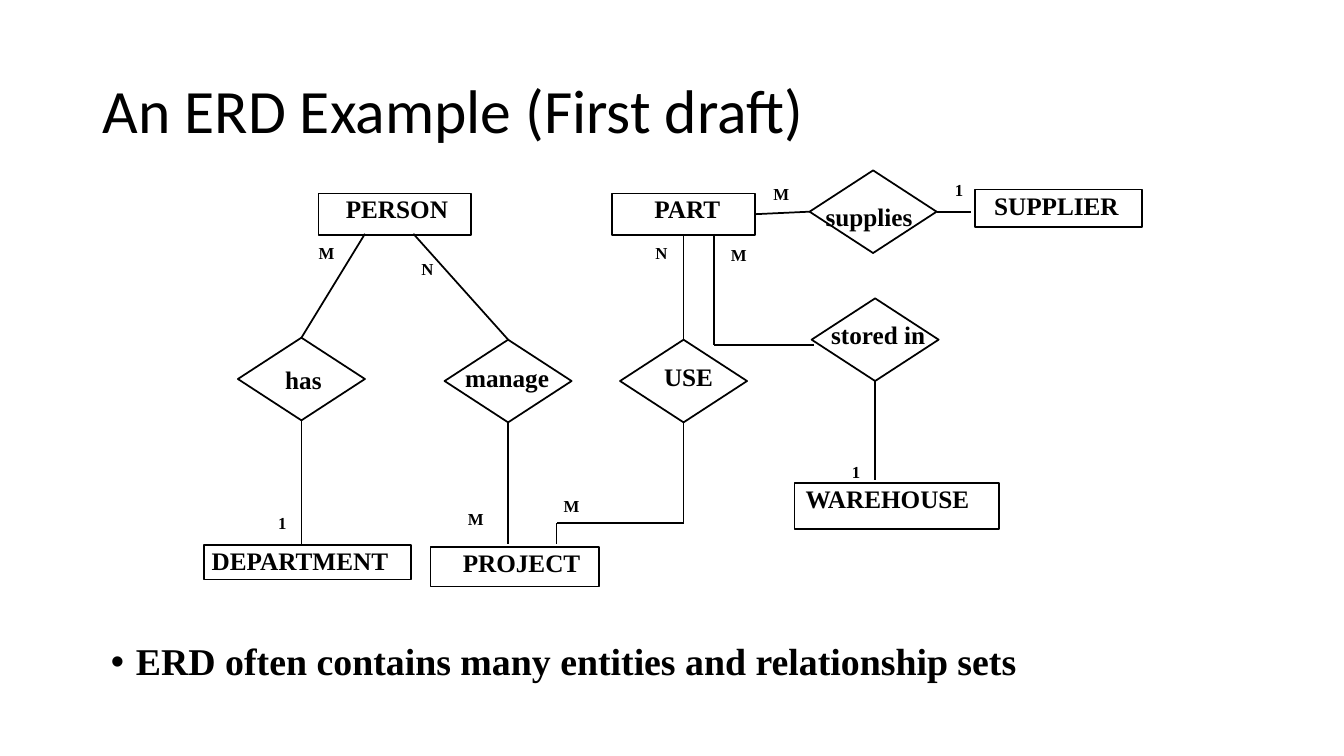
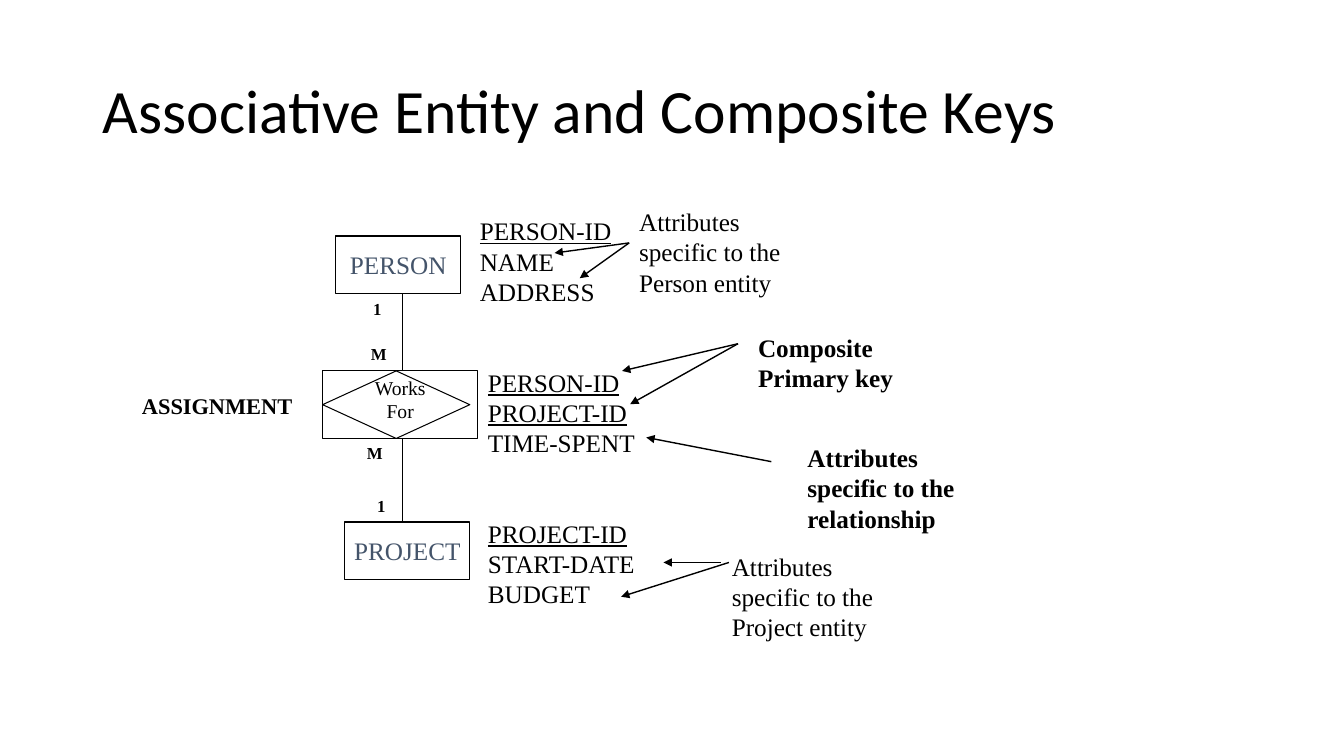
from dataclasses import dataclass
from typing import Optional

from lxml import etree
from pptx import Presentation
from pptx import util as u
from pptx.dml.color import RGBColor
from pptx.enum import shapes, text
from pptx.oxml import ns

EMU_PER_PX = 9144
COLORS = {"ink": "000000", "paper": "FFFFFF", "slate": "44546A"}
TITLE_FONT = "Calibri"
BODY_FONT = "Times New Roman"
TOP, LEFT, BOTTOM, RIGHT = range(4)
RECTANGLE = shapes.MSO_SHAPE.RECTANGLE
DIAMOND = shapes.MSO_SHAPE.DIAMOND
LEFT_ALIGN, CENTER = text.PP_ALIGN.LEFT, text.PP_ALIGN.CENTER


@dataclass(frozen=True)
class Box:
    left: int
    top: int
    width: int
    height: int

    def emu(self) -> list:
        return [px(value) for value in (self.left, self.top, self.width, self.height)]


@dataclass(frozen=True)
class Style:
    size: int = 18
    bold: bool = False
    color: str = "ink"
    font: str = BODY_FONT


@dataclass(frozen=True)
class Run:
    words: str
    underline: bool = False


@dataclass(frozen=True)
class Entity:
    name: str
    box: Box
    indent: int
    drop: int = 0


@dataclass(frozen=True)
class Relationship:
    name: str
    left: int
    top: int
    shift_x: int = 0
    shift_y: int = 0


@dataclass(frozen=True)
class Mark:
    words: str
    left: int
    top: int


@dataclass(frozen=True)
class Link:
    start: tuple
    end: tuple
    start_join: Optional[tuple] = None
    end_join: Optional[tuple] = None


@dataclass(frozen=True)
class Caption:
    box: Box
    runs: tuple
    style: Style = Style()


STRONG = Style(bold=True)
MARK_STYLE = Style(12, True)

ENTITIES = (
    Entity("PERSON", Box(316, 192, 151, 41), 27),
    Entity("PART", Box(607, 192, 142, 41), 42),
    Entity("SUPPLIER", Box(967, 188, 166, 37), 19, 1),
    Entity("WAREHOUSE", Box(788, 479, 203, 46), 11),
    Entity("DEPARTMENT", Box(202, 541, 206, 34), 8),
    Entity("PROJECT", Box(427, 543, 167, 39), 32),
)
RELATIONSHIPS = (
    Relationship("has", 236, 335, 2),
    Relationship("manage", 441, 337, -1, -4),
    Relationship("USE", 615, 337, 5, -5),
    Relationship("supplies", 803, 169, -4, 5),
    Relationship("stored in", 805, 296, 3, -5),
)
ERD_LINKS = (
    Link((362, 232), (299, 335), end_join=("has", TOP)),
    Link((410, 232), (505, 337), end_join=("manage", TOP)),
    Link((299, 417), (299, 540), ("has", BOTTOM)),
    Link((504, 419), (504, 540), ("manage", BOTTOM)),
    Link((678, 233), (678, 337), ("PART", BOTTOM), ("USE", TOP)),
    Link((678, 419), (678, 519), ("USE", BOTTOM)),
    Link((678, 519), (552, 519)),
    Link((552, 519), (552, 540)),
    Link((749, 212), (803, 210), ("PART", RIGHT), ("supplies", LEFT)),
    Link((929, 210), (963, 210), ("supplies", RIGHT)),
    Link((708, 232), (708, 342)),
    Link((708, 342), (807, 342)),
    Link((868, 378), (868, 476), ("stored in", BOTTOM)),
)
ERD_MARKS = (
    Mark("M", 316, 241), Mark("N", 418, 257), Mark("1", 276, 509),
    Mark("M", 464, 505), Mark("M", 559, 492), Mark("N", 650, 241),
    Mark("M", 725, 243), Mark("M", 767, 182), Mark("1", 947, 178),
    Mark("1", 845, 458),
)
KEY_ENTITIES = (("PERSON", Box(333, 234, 124, 57)), ("PROJECT", Box(342, 518, 124, 57)))
KEY_LINKS = (Link((399, 291), (399, 368)), Link((399, 434), (399, 517)))
KEY_MARKS = (
    Mark("1", 370, 296), Mark("M", 368, 341), Mark("M", 364, 439), Mark("1", 374, 492),
)
CAPTIONS = (
    Caption(Box(466, 209, 158, 100), (Run("PERSON-ID", True), Run(" NAME ADDRESS"))),
    Caption(Box(474, 359, 183, 100),
            (Run("PERSON-ID PROJECT-ID ", True), Run("TIME-SPENT"))),
    Caption(Box(474, 509, 191, 100),
            (Run("PROJECT-ID", True), Run(" START-DATE BUDGET"))),
    Caption(Box(624, 200, 191, 100), (Run("Attributes specific to the Person entity"),)),
    Caption(Box(742, 325, 191, 70), (Run("Composite Primary key"),), STRONG),
    Caption(Box(791, 434, 191, 100),
            (Run("Attributes specific to the relationship"),), STRONG),
    Caption(Box(716, 542, 191, 100), (Run("Attributes specific to the Project entity"),)),
    Caption(Box(131, 384, 189, 37), (Run("ASSIGNMENT"),), Style(16, True)),
)
POINTERS = (
    Link((550, 251), (624, 241)), Link((575, 276), (624, 241)),
    Link((617, 368), (732, 341)), Link((625, 401), (732, 341)),
    Link((641, 434), (765, 458)),
    Link((658, 558), (715, 558)), Link((616, 592), (723, 558)),
)


def px(value: int) -> u.Emu:
    return u.Emu(value * EMU_PER_PX)


def rgb(name: str) -> RGBColor:
    return RGBColor.from_string(COLORS[name])


def set_frame(frame, margins=(10, 5, 10, 5), wrap=True,
              anchor=text.MSO_ANCHOR.TOP) -> None:
    frame.auto_size = text.MSO_AUTO_SIZE.NONE
    frame.word_wrap = wrap
    frame.vertical_anchor = anchor
    (frame.margin_left, frame.margin_top,
     frame.margin_right, frame.margin_bottom) = map(px, margins)


def write(paragraph, runs: tuple, style: Style, align=LEFT_ALIGN) -> None:
    paragraph.alignment = align
    for item in runs:
        run = paragraph.add_run()
        run.text = item.words
        run.font.name = style.font
        run.font.size = u.Pt(style.size)
        run.font.bold = style.bold
        run.font.underline = item.underline
        run.font.color.rgb = rgb(style.color)


def add_title_slide(presentation, title: str):
    slide = presentation.slides.add_slide(presentation.slide_layouts[5])
    shape = slide.shapes.title
    shape.left, shape.top, shape.width, shape.height = Box(92, 40, 1150, 145).emu()
    set_frame(shape.text_frame, anchor=text.MSO_ANCHOR.MIDDLE)
    paragraph = shape.text_frame.paragraphs[0]
    paragraph.line_spacing = 0.9
    write(paragraph, (Run(title),), Style(44, font=TITLE_FONT))
    return slide


def add_outline(slide, preset, box: Box, weight: float, fill: Optional[str] = None):
    shape = slide.shapes.add_shape(preset, *box.emu())
    shape.shadow.inherit = False
    if fill:
        shape.fill.solid()
        shape.fill.fore_color.rgb = rgb(fill)
    else:
        shape.fill.background()
    shape.line.color.rgb = rgb("ink")
    shape.line.width = u.Pt(weight)
    return shape


def add_text(slide, box: Box, runs: tuple, style: Style, margins=(10, 5, 10, 5)):
    shape = slide.shapes.add_textbox(*box.emu())
    set_frame(shape.text_frame, margins)
    paragraph = shape.text_frame.paragraphs[0]
    write(paragraph, runs, style)
    return paragraph


def add_marks(slide, marks: tuple) -> None:
    for mark in marks:
        add_text(slide, Box(mark.left, mark.top, 30, 20), (Run(mark.words),),
                 MARK_STYLE, (0, 0, 0, 0))


def add_link(slide, link: Link, nodes: dict, weight: float, arrow=False) -> None:
    connector = slide.shapes.add_connector(
        shapes.MSO_CONNECTOR.STRAIGHT, *map(px, link.start + link.end))
    for join, connect in ((link.start_join, connector.begin_connect),
                          (link.end_join, connector.end_connect)):
        if join:
            name, side = join
            connect(nodes[name], side)
    connector.line.color.rgb = rgb("ink")
    connector.line.width = u.Pt(weight)
    properties = connector._element.spPr
    if arrow:
        etree.SubElement(properties.get_or_add_ln(), ns.qn("a:headEnd"), type="triangle")
    etree.SubElement(properties, ns.qn("a:effectLst"))


def add_entity(slide, entity: Entity):
    shape = add_outline(slide, RECTANGLE, entity.box, 1.25, "paper")
    set_frame(shape.text_frame, (entity.indent, entity.drop, 0, 0))
    write(shape.text_frame.paragraphs[0], (Run(entity.name),), STRONG)
    return shape


def add_relationship(slide, relationship: Relationship):
    box = Box(relationship.left, relationship.top, 126, 82)
    shape = add_outline(slide, DIAMOND, box, 1.25)
    x, y = 2 * relationship.shift_x, 2 * relationship.shift_y
    set_frame(shape.text_frame, (max(x, 0), max(y, 0), max(-x, 0), max(-y, 0)),
              False, text.MSO_ANCHOR.MIDDLE)
    write(shape.text_frame.paragraphs[0], (Run(relationship.name),), STRONG, CENTER)
    return shape


def add_bullet(paragraph) -> None:
    properties = paragraph._p.get_or_add_pPr()
    properties.set("marL", str(px(25)))
    properties.set("indent", str(px(-25)))
    etree.SubElement(properties, ns.qn("a:buFont"), typeface="Arial")
    etree.SubElement(properties, ns.qn("a:buChar"), char="•")


def build_erd_slide(presentation) -> None:
    slide = add_title_slide(presentation, "An ERD Example (First draft)")
    nodes = {entity.name: add_entity(slide, entity) for entity in ENTITIES}
    for relationship in RELATIONSHIPS:
        nodes[relationship.name] = add_relationship(slide, relationship)
    for link in ERD_LINKS:
        add_link(slide, link, nodes, 1.25)
    add_marks(slide, ERD_MARKS)
    paragraph = add_text(
        slide, Box(100, 633, 1011, 69),
        (Run("ERD often contains many entities and relationship sets"),), Style(27, True))
    paragraph.line_spacing = 0.9
    add_bullet(paragraph)


def build_keys_slide(presentation) -> None:
    slide = add_title_slide(presentation, "Associative Entity and Composite Keys")
    for name, box in KEY_ENTITIES:
        shape = add_outline(slide, RECTANGLE, box, 1)
        set_frame(shape.text_frame, wrap=False, anchor=text.MSO_ANCHOR.MIDDLE)
        write(shape.text_frame.paragraphs[0], (Run(name),), Style(color="slate"), CENTER)
    for link in KEY_LINKS:
        add_link(slide, link, {}, 1)
    assignment = add_outline(slide, RECTANGLE, Box(320, 368, 154, 67), 0.75, "paper")
    frame = assignment.text_frame
    set_frame(frame)
    for paragraph, word in ((frame.paragraphs[0], "Works"), (frame.add_paragraph(), "For")):
        write(paragraph, (Run(word),), Style(14), CENTER)
    add_outline(slide, DIAMOND, Box(320, 368, 146, 67), 0.75)
    for caption in CAPTIONS:
        add_text(slide, caption.box, caption.runs, caption.style)
    for pointer in POINTERS:
        add_link(slide, pointer, {}, 1, arrow=True)
    add_marks(slide, KEY_MARKS)


def main() -> None:
    presentation = Presentation()
    presentation.slide_width, presentation.slide_height = px(1333), px(750)
    build_erd_slide(presentation)
    build_keys_slide(presentation)
    presentation.save("out.pptx")


if __name__ == "__main__":
    main()
